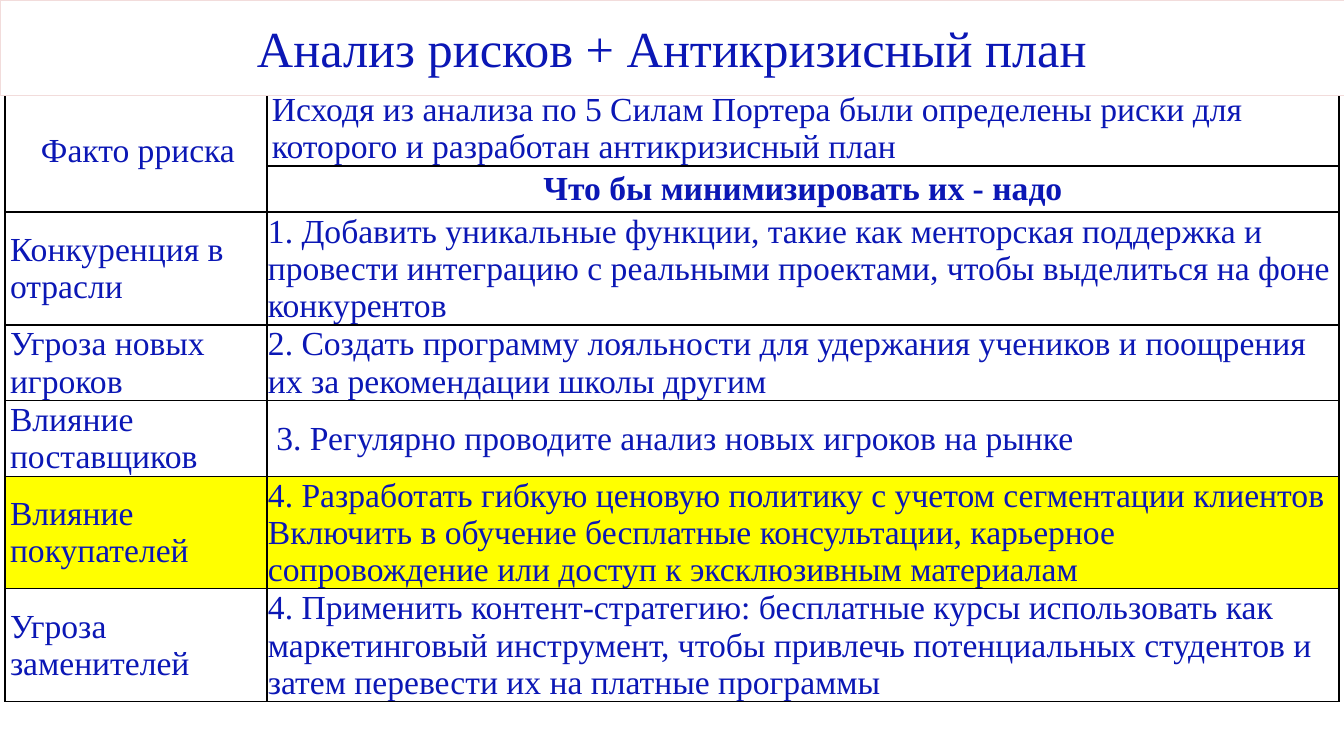
from lxml.etree import SubElement
from pptx import Presentation
from pptx.dml.color import RGBColor
from pptx.enum.text import MSO_ANCHOR, MSO_AUTO_SIZE, PP_ALIGN
from pptx.oxml.ns import qn
from pptx.util import Pt

PX = 12192000 / 1344
FONT = "Times New Roman"
COLORS = {"text": "0B17B5", "paper": "FFFFFF", "highlight": "FFFF00",
          "border": "000000", "title_line": "F2DCDB"}


def px(length):
    return round(length * PX)


def style_text(paragraph, size, align=PP_ALIGN.LEFT, bold=False):
    paragraph.alignment = align
    for run in paragraph.runs:
        run.font.name = FONT
        run.font.size = Pt(size)
        run.font.bold = bold
        run.font.color.rgb = RGBColor.from_string(COLORS["text"])


prs = Presentation()
prs.slide_width, prs.slide_height = px(1344), px(756)
slide = prs.slides.add_slide(prs.slide_layouts[5])

# Risks and the measures against them
risks = [
    ("Факто рриска",
     "Исходя из анализа по 5 Силам Портера были определены риски для которого и разработан антикризисный план"),
    ("", "Что бы минимизировать их - надо"),
    ("Конкуренция в отрасли",
     "1. Добавить уникальные функции, такие как менторская поддержка и провести интеграцию с реальными "
     "проектами, чтобы выделиться на фоне конкурентов"),
    ("Угроза новых игроков",
     "2. Создать программу лояльности для удержания учеников и поощрения их за рекомендации школы другим"),
    ("Влияние поставщиков", " 3. Регулярно проводите анализ новых игроков на рынке"),
    ("Влияние покупателей",
     "4. Разработать гибкую ценовую политику с учетом сегментации клиентов\n"
     "Включить в обучение бесплатные консультации, карьерное сопровождение или доступ к эксклюзивным материалам"),
    ("Угроза заменителей",
     "4. Применить контент-стратегию: бесплатные курсы использовать как маркетинговый инструмент, чтобы "
     "привлечь потенциальных студентов и затем перевести их на платные программы"),
]
column_widths = [262, 1072]
row_heights = [76, 46, 113, 75, 76, 112, 113]
HEADING_ROW, BUYERS_ROW = 1, 5

# Table grid
risk_table = slide.shapes.add_table(
    len(risks), 2, px(5), px(90), px(sum(column_widths)), px(sum(row_heights))).table
risk_table.first_row = risk_table.horz_banding = False
for column, width in zip(risk_table.columns, column_widths):
    column.width = px(width)
for row, height in zip(risk_table.rows, row_heights):
    row.height = px(height)
risk_table.cell(0, 0).merge(risk_table.cell(1, 0))

# Table cells
for r, texts in enumerate(risks):
    for c, text in enumerate(texts):
        cell = risk_table.cell(r, c)
        cell.margin_left = cell.margin_right = cell.margin_top = px(1)
        cell.margin_bottom = 0
        cell.vertical_anchor = MSO_ANCHOR.MIDDLE
        for side in ("lnL", "lnR", "lnT", "lnB"):
            border = SubElement(cell._tc.get_or_add_tcPr(), qn(f"a:{side}"), w=str(Pt(1)))
            SubElement(SubElement(border, qn("a:solidFill")), qn("a:srgbClr"), val=COLORS["border"])
        cell.fill.solid()
        cell.fill.fore_color.rgb = RGBColor.from_string(
            COLORS["highlight" if r == BUYERS_ROW else "paper"])
        if not text:
            continue
        cell.text_frame.text = text
        heading = r == HEADING_ROW
        centred = heading or (r, c) == (0, 0)
        for paragraph in cell.text_frame.paragraphs:
            style_text(paragraph, 24, PP_ALIGN.CENTER if centred else PP_ALIGN.LEFT, heading)
            if c == 0 or r == 0:
                paragraph._p.get_or_add_pPr().set("marL", str(px(4)))

# Title band, in front of the top edge of the table
title = slide.shapes.title
title.left, title.top, title.width, title.height = 0, 0, px(1344), px(95)
title.fill.solid()
title.fill.fore_color.rgb = RGBColor.from_string(COLORS["paper"])
title.line.color.rgb = RGBColor.from_string(COLORS["title_line"])
title.line.width = Pt(0.25)
title.text_frame.text = "Анализ рисков + Антикризисный план"
title.text_frame.auto_size = MSO_AUTO_SIZE.NONE
title.text_frame.vertical_anchor = MSO_ANCHOR.MIDDLE
style_text(title.text_frame.paragraphs[0], 36, PP_ALIGN.CENTER)
slide.shapes._spTree.append(title._element)

prs.save("out.pptx")
